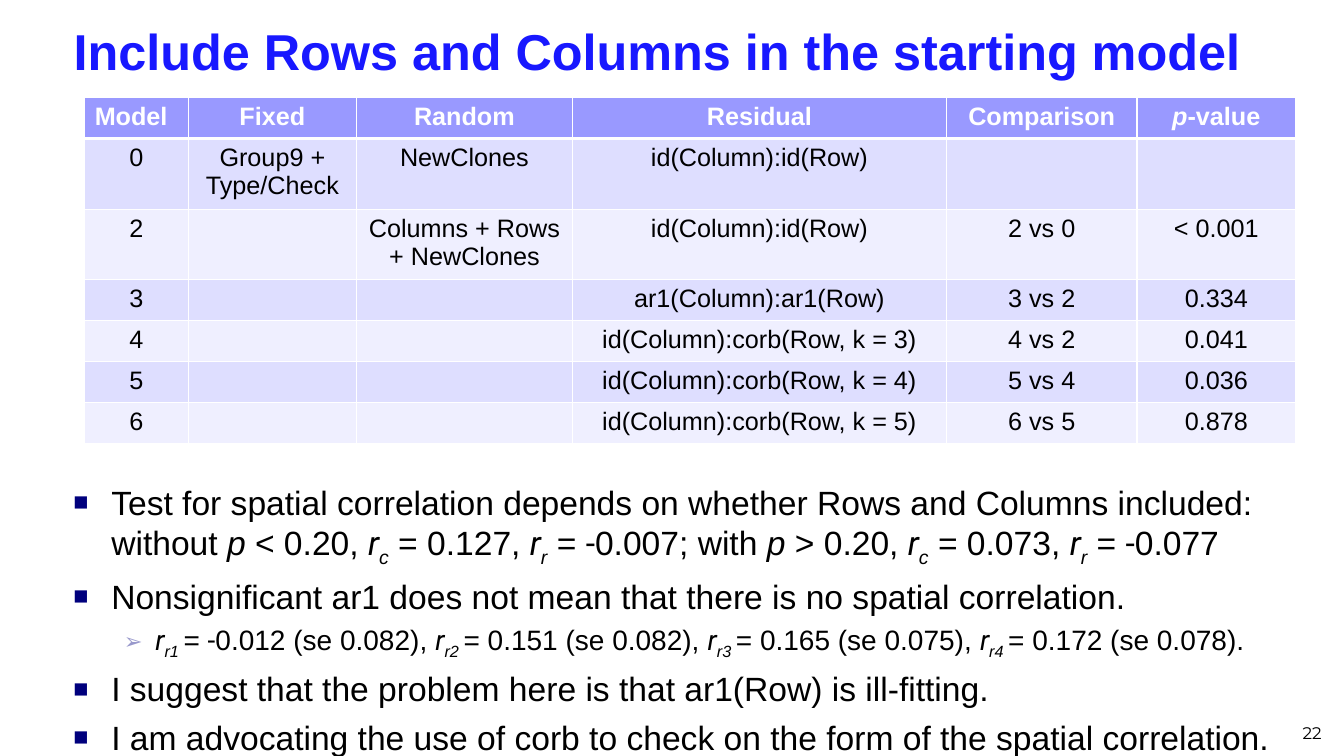
from lxml.etree import SubElement
from pptx import Presentation
from pptx.dml.color import RGBColor
from pptx.enum.text import MSO_ANCHOR, MSO_AUTO_SIZE, PP_ALIGN
from pptx.oxml.ns import qn
from pptx.util import Pt

HUE = {"title": "1818FF", "head": "9999FF", "odd": "DEDEFF", "even": "EFEFFF",
       "white": "FFFFFF", "black": "000000", "square": "00007D", "arrow": "9999CC"}

# First letter of a piece -> (font, italic, subscript)
MARKS = {"*": ("Arial", True, False), "^": ("Roboto", True, False),
         "_": ("Arial", True, True), "~": ("Roboto", False, False)}

WIDTHS = [74, 120.2, 154.2, 267.2, 136.2, 113.2]
ROWS = [
    ["Model", "Fixed", "Random", "Residual", "Comparison", "*p|-value"],
    ["0", "Group9 + Type/Check", "NewClones", "id(Column):id(Row)", "", ""],
    ["2", "", "Columns + Rows + NewClones", "id(Column):id(Row)", "2 vs 0", "< 0.001"],
    ["3", "", "", "ar1(Column):ar1(Row)", "3 vs 2", "0.334"],
    ["4", "", "", "id(Column):corb(Row, k = 3)", "4 vs 2", "0.041"],
    ["5", "", "", "id(Column):corb(Row, k = 4)", "5 vs 4", "0.036"],
    ["6", "", "", "id(Column):corb(Row, k = 5)", "6 vs 5", "0.878"],
]

# (level, text)
POINTS = [
    (0, "Test for spatial correlation depends on whether Rows and Columns included: "
        "without |*p| < 0.20, |^r|_c| = 0.127, |^r|_r| = |~-|0.007; with "
        "|*p| > 0.20, |^r|_c| = 0.073, |^r|_r| = |~-|0.077"),
    (0, "Nonsignificant ar1 does not mean that there is no spatial correlation."),
    (1, "^r|_r1 |= |~-|0.012 (se 0.082), |^r|_r2 |= 0.151 (se 0.082), "
        "|^r|_r3 |= 0.165 (se 0.075), |^r|_r4 |= 0.172 (se 0.078)."),
    (0, "I suggest that the problem here is that ar1(Row) is ill-fitting."),
    (0, "I am advocating the use of corb to check on the form of the spatial correlation."),
]

# Per level: sign, colour, sign size in %, left margin, hang, text size, space before
LEVELS = [("■", "square", 75, 27, 27, 24, 5.5),
          ("➢", "arrow", 80, 58.5, 22.5, 20, 4.6)]


def color(key):
    return RGBColor.from_string(HUE[key])


def write(para, text, size, key="black", bold=False, face="Arial"):
    """Add text to a paragraph, one run for each piece between bars."""
    for piece in text.split("|") if text else []:
        name, slant, sub = MARKS.get(piece[0], (face, False, False))
        run = para.add_run()
        run.text = piece[1:] if piece[0] in MARKS else piece
        font = run.font
        font.name, font.size = name, Pt(size)
        font.bold, font.italic = bold, slant
        font.color.rgb = color(key)
        if sub:
            run._r.get_or_add_rPr().set("baseline", "-25000")


def bullet(para, sign, key, scale, left, hang):
    props = para._p.get_or_add_pPr()
    props.set("marL", str(Pt(left)))
    props.set("indent", str(-Pt(hang)))
    tint = SubElement(props, qn("a:buClr"))
    SubElement(tint, qn("a:srgbClr"), val=HUE[key])
    SubElement(props, qn("a:buSzPct"), val=str(scale * 1000))
    SubElement(props, qn("a:buFont"), typeface="Arial")
    SubElement(props, qn("a:buChar"), char=sign)


def border(cell, top, bottom):
    props = cell._tc.get_or_add_tcPr()
    for side, width in (("L", 1), ("R", 1), ("T", top), ("B", bottom)):
        line = SubElement(props, qn("a:ln" + side), w=str(Pt(width)))
        fill = SubElement(line, qn("a:solidFill"))
        SubElement(fill, qn("a:srgbClr"), val=HUE["white"])


def add_title(slide, text, box):
    title = slide.shapes.title
    title.left, title.top, title.width, title.height = map(Pt, box)
    frame = title.text_frame
    frame.word_wrap = True
    frame.auto_size = MSO_AUTO_SIZE.NONE
    frame.vertical_anchor = MSO_ANCHOR.MIDDLE
    para = frame.paragraphs[0]
    para.alignment = PP_ALIGN.LEFT
    write(para, text, 36, "title", True)


def add_models(slide, box):
    grid = slide.shapes.add_table(len(ROWS), len(WIDTHS), *map(Pt, box)).table
    for col, width in zip(grid.columns, WIDTHS):
        col.width = Pt(width)
    for r, row in enumerate(ROWS):
        grid.rows[r].height = Pt(box[3] / len(ROWS))
        head = r == 0
        shade = "head" if head else "odd" if r % 2 else "even"
        for c, text in enumerate(row):
            cell = grid.cell(r, c)
            border(cell, 3 if r == 1 else 1, 3 if head else 1)
            cell.fill.solid()
            cell.fill.fore_color.rgb = color(shade)
            para = cell.text_frame.paragraphs[0]
            para.alignment = PP_ALIGN.LEFT if head and c == 0 else PP_ALIGN.CENTER
            write(para, text, 18, "white" if head else "black", head)


def add_points(slide, box):
    frame = slide.shapes.add_textbox(*map(Pt, box)).text_frame
    frame.word_wrap = True
    for i, (level, text) in enumerate(POINTS):
        para = frame.add_paragraph() if i else frame.paragraphs[0]
        *look, size, gap = LEVELS[level]
        para.level = level
        bullet(para, *look)
        para.space_before = Pt(gap if i else 0)
        write(para, text, size)


def add_number(slide, text, box):
    frame = slide.shapes.add_textbox(*map(Pt, box)).text_frame
    frame.word_wrap = True
    frame.vertical_anchor = MSO_ANCHOR.BOTTOM
    para = frame.paragraphs[0]
    para.alignment = PP_ALIGN.RIGHT
    write(para, text, 12, face="Montserrat")


def main():
    deck = Presentation()
    deck.slide_width, deck.slide_height = Pt(960), Pt(540)
    slide = deck.slides.add_slide(deck.slide_layouts[5])
    add_title(slide, "Include Rows and Columns in the starting model",
              (45.4, 16.6, 907.2, 38.9))
    add_number(slide, "22", (727.2, 498.2, 224, 36))
    add_models(slide, (60.5, 69.8, sum(WIDTHS), 204.4))
    add_points(slide, (45.4, 340.6, 907.2, 190.8))
    deck.save("out.pptx")


if __name__ == "__main__":
    main()
